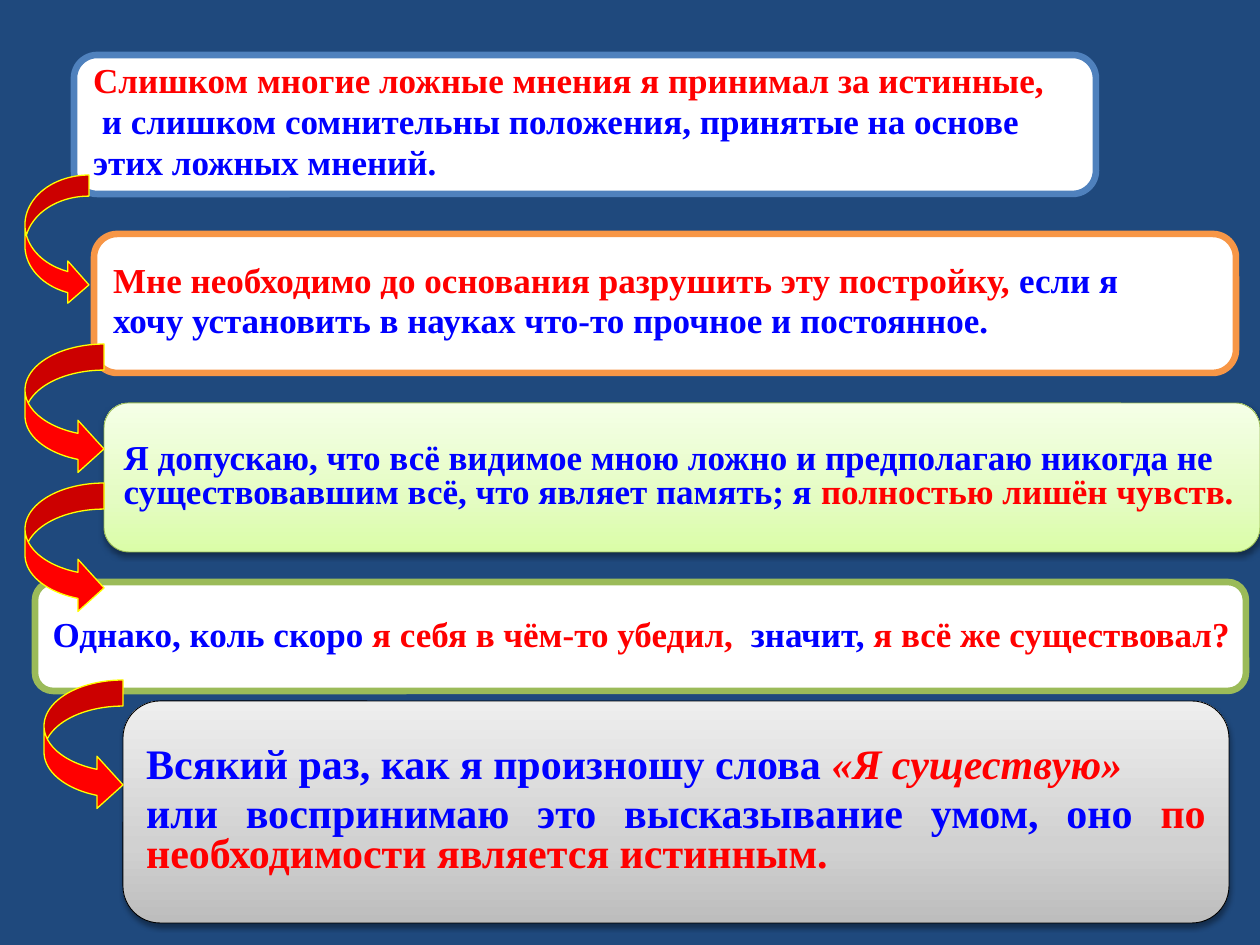
import copy
from dataclasses import dataclass

import pptx
import pptx.dml.color
import pptx.enum.shapes
import pptx.enum.text
import pptx.oxml.ns
import pptx.util
from lxml import etree

SHAPES = pptx.enum.shapes.MSO_SHAPE
ALIGN = pptx.enum.text.PP_ALIGN
EMU_PER_PX = 914400 / 126


@dataclass(frozen=True)
class Theme:
    font: str = "Times New Roman"
    body: int = 20
    conclusion: int = 24
    background: str = "1F497D"
    white: str = "FFFFFF"
    blue: str = "0000FF"
    red: str = "FF0000"
    yellow: str = "FFFF00"
    black: str = "000000"
    sky: str = "4F81BD"
    orange: str = "F79646"
    olive: str = "9BBB59"
    lime: str = "98B955"
    gray_shades: tuple = ("BDBDBD", "D1D1D1", "EEEEEE")
    lime_shades: tuple = ("DAFDA7", "E4FCC2", "F5FFE7")
    stops: tuple = (0, 0.35, 1)
    thick: float = 3.78
    thin: float = 0.5
    arrow_line: float = 0.75


def px(length):
    return pptx.util.Emu(round(length * EMU_PER_PX))


def rgb(value):
    return pptx.dml.color.RGBColor.from_string(value)


def add_element(parent, tag, **attributes):
    return etree.SubElement(parent, pptx.oxml.ns.qn(tag), attributes)


class SlideBuilder:
    def __init__(self, slide, theme):
        self.slide = slide
        self.theme = theme
        fill = slide.background.fill
        fill.solid()
        fill.fore_color.rgb = rgb(theme.background)

    def shape(self, kind, box, fill, line, width):
        shape = self.slide.shapes.add_shape(kind, *map(px, box))
        shape.shadow.inherit = False
        if isinstance(fill, tuple):
            self.gradient(shape, fill)
            self.shadow(shape)
        else:
            shape.fill.solid()
            shape.fill.fore_color.rgb = rgb(fill)
        shape.line.color.rgb = rgb(line)
        shape.line.width = pptx.util.Pt(width)
        return shape

    def gradient(self, shape, shades):
        shape.fill.gradient()
        shape.fill.gradient_angle = 90
        stop_list = shape.element.spPr.find(".//" + pptx.oxml.ns.qn("a:gsLst"))
        stop_list.insert(1, copy.deepcopy(stop_list[0]))
        for stop, position, shade in zip(shape.fill.gradient_stops, self.theme.stops, shades):
            stop.position = position
            stop.color.rgb = rgb(shade)

    def shadow(self, shape):
        effects = shape.element.spPr.find(pptx.oxml.ns.qn("a:effectLst"))
        shadow = add_element(
            effects, "a:outerShdw", blurRad=str(pptx.util.Pt(3.5)),
            dist=str(pptx.util.Pt(2)), dir="5400000", rotWithShape="0")
        color = add_element(shadow, "a:srgbClr", val=self.theme.black)
        add_element(color, "a:alpha", val="38000")

    def thought(self, box, fill, line, width, paragraphs, size,
                align=ALIGN.LEFT, spacing=0.8):
        shape = self.shape(SHAPES.ROUNDED_RECTANGLE, box, fill, line, width)
        frame = shape.text_frame
        frame.word_wrap = False
        frame.vertical_anchor = pptx.enum.text.MSO_ANCHOR.MIDDLE
        for index, runs in enumerate(paragraphs):
            paragraph = frame.add_paragraph() if index else frame.paragraphs[0]
            paragraph.alignment = align
            paragraph.line_spacing = spacing
            before = add_element(paragraph._p.get_or_add_pPr(), "a:spcBef")
            add_element(before, "a:spcPct", val="20000")
            for text, color, *style in runs:
                self.run(paragraph, text, color, size, "italic" in style)

    def run(self, paragraph, text, color, size, italic):
        for index, line in enumerate(text.split("\n")):
            if index:
                paragraph.add_line_break()
            run = paragraph.add_run()
            run.text = line
            run.font.name = self.theme.font
            run.font.size = pptx.util.Pt(size)
            run.font.bold = True
            run.font.italic = italic
            run.font.color.rgb = rgb(color)

    def arrow(self, left, top, width):
        shape = self.shape(SHAPES.CURVED_RIGHT_ARROW, (left, top, width, 131),
                           self.theme.red, self.theme.yellow, self.theme.arrow_line)
        for index, value in enumerate((0.33, 0.66, 0.33)):
            shape.adjustments[index] = value


def main():
    theme = Theme()
    red, blue = theme.red, theme.blue
    presentation = pptx.Presentation()
    presentation.slide_width, presentation.slide_height = px(1260), px(945)
    slide = presentation.slides.add_slide(presentation.slide_layouts[6])
    builder = SlideBuilder(slide, theme)

    builder.thought(
        (123, 701, 1106, 222), theme.gray_shades, theme.black, theme.thin,
        [[("Всякий раз, как я произношу слова ", blue),
          ("«Я существую» ", red, "italic")],
         [("или воспринимаю это высказывание умом, оно ", blue),
          ("по\nнеобходимости является истинным.", red)]],
        theme.conclusion, ALIGN.JUSTIFY)
    builder.thought(
        (35, 582, 1211, 109), theme.white, theme.olive, theme.thick,
        [[("Однако, коль скоро ", blue), ("я себя в чём-то убедил,  ", red),
          ("значит, ", blue), ("я всё же существовал?", red)]],
        theme.body, ALIGN.JUSTIFY, 0.9)
    builder.thought(
        (104, 403, 1156, 149), theme.lime_shades, theme.lime, theme.thin,
        [[("Я допускаю, что всё видимое мною ложно и предполагаю никогда не\n"
           "существовавшим всё, что являет память; я ", blue),
          ("полностью лишён чувств.", red)]],
        theme.body)
    builder.thought(
        (94, 234, 1142, 139), theme.white, theme.orange, theme.thick,
        [[("Мне необходимо до основания разрушить эту постройку, ", red),
          ("если я", blue)],
         [("хочу установить в науках что-то прочное и постоянное.", blue)]],
        theme.body)
    builder.thought(
        (74, 55, 1022, 139), theme.white, theme.sky, theme.thick,
        [[("Слишком многие ложные мнения я принимал за истинные,", red)],
         [(" и слишком сомнительны положения, принятые на основе", blue)],
         [("этих ложных мнений.", blue)]],
        theme.body)

    for left, top, width in ((25, 175, 64), (25, 344, 79), (25, 483, 79), (44, 680, 79)):
        builder.arrow(left, top, width)

    presentation.save("out.pptx")


if __name__ == "__main__":
    main()
